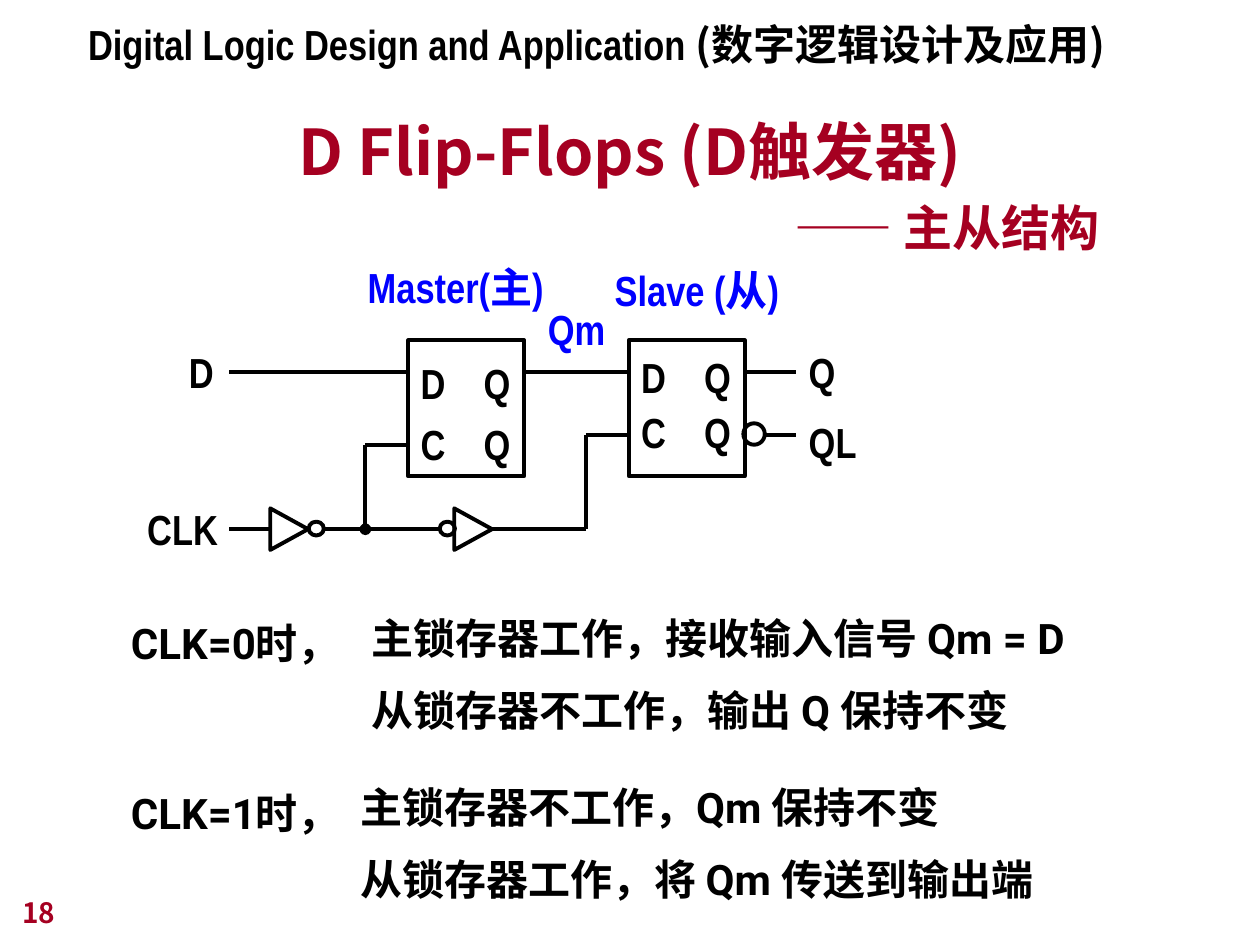
"""Build a slide on the master-slave D flip-flop with its logic diagram."""
import pptx
import pptx.util
import pptx.dml.color
import pptx.enum.shapes
import pptx.enum.text
from lxml import etree
from pptx.oxml.ns import qn

Inches = pptx.util.Inches
Pt = pptx.util.Pt
SHAPE = pptx.enum.shapes.MSO_SHAPE
ANCHOR = pptx.enum.text.MSO_ANCHOR
BLACK = pptx.dml.color.RGBColor(0, 0, 0)
RED = pptx.dml.color.RGBColor(0xA5, 0x00, 0x21)
BLUE = pptx.dml.color.RGBColor(0, 0, 0xFF)
NARROW, CJK, ROBOTO = "Arial Narrow", "Noto Sans CJK JP", "Roboto"


def style(p, font, size, color):
    p.font.name = font
    p.font.size = Pt(size)
    p.font.bold = True
    p.font.color.rgb = color


def add_text(box, lines, font=NARROW, size=24, color=BLACK, wrap=False):
    sp = s.shapes.add_textbox(*[Inches(v) for v in box])
    tf = sp.text_frame
    tf.word_wrap = wrap
    tf.text = "\n".join(lines)
    for p in tf.paragraphs:
        style(p, font, size, color)
    return tf


prs = pptx.Presentation()
prs.slide_width, prs.slide_height = Inches(10), Inches(7.5)
s = prs.slides.add_slide(prs.slide_layouts[5])

title = s.shapes.title
title.left, title.top = Inches(0.75), Inches(0.71)
title.width, title.height = Inches(8.5), Inches(0.83)
title.text_frame.text = "D Flip-Flops (D触发器)"
title.text_frame.vertical_anchor = ANCHOR.BOTTOM
p = title.text_frame.paragraphs[0]
p.alignment = pptx.enum.text.PP_ALIGN.CENTER
style(p, CJK, 36, RED)

tf = add_text((0.6, 0.1, 8.41, 0.5), [""], wrap=True)
for text, font in [("Digital Logic Design and Application ", NARROW),
                   ("(数字逻辑设计及应用)", CJK)]:
    r = tf.paragraphs[0].add_run()
    r.text = text
    r.font.name = font
add_text((6.21, 1.52, 2.62, 0.57), ["—— 主从结构"], size=28, color=RED)

latches = [(3.24, 1.2, 0.05), (4.99, 1.1, 0.15)]
for left, spacing, bottom in latches:
    sp = s.shapes.add_shape(SHAPE.RECTANGLE, Inches(left), Inches(2.7),
                            Inches(0.92), Inches(1.08))
    sp.shadow.inherit = False
    sp.fill.background()
    sp.line.color.rgb = BLACK
    sp.line.width = Pt(2.25)
    tf = sp.text_frame
    tf.margin_right = 0
    tf.margin_bottom = Inches(bottom)
    tf.vertical_anchor = ANCHOR.MIDDLE
    tf.text = "D\tQ\nC\tQ"
    for p in tf.paragraphs:
        p.alignment = pptx.enum.text.PP_ALIGN.LEFT
        p.line_spacing = spacing
        tabs = etree.SubElement(p._p.get_or_add_pPr(), qn("a:tabLst"))
        etree.SubElement(tabs, qn("a:tab"), pos=str(Inches(0.5)), algn="l")
        style(p, NARROW, 24, BLACK)

gates = [
    (SHAPE.ISOSCELES_TRIANGLE, 2.13, 4.05, 0.33, 0.3, 90),
    (SHAPE.ISOSCELES_TRIANGLE, 3.59, 4.05, 0.33, 0.3, 90),
    (SHAPE.OVAL, 2.45, 4.14, 0.12, 0.11, 0),
    (SHAPE.OVAL, 3.49, 4.14, 0.12, 0.11, 0),
    (SHAPE.OVAL, 5.9, 3.36, 0.17, 0.17, 0),
]
for kind, *box, rotation in gates:
    sp = s.shapes.add_shape(kind, *[Inches(v) for v in box])
    sp.rotation = rotation
    sp.shadow.inherit = False
    sp.fill.background()
    sp.line.color.rgb = BLACK
    sp.line.width = Pt(2.25)

wires = [
    (1.82, 2.95, 3.24, 2.95), (4.15, 2.95, 4.99, 2.95),
    (5.9, 2.95, 6.32, 2.95), (6.07, 3.45, 6.32, 3.45),
    (1.82, 4.2, 2.15, 4.2), (2.57, 4.2, 3.49, 4.2),
    (3.9, 4.2, 4.65, 4.2), (4.65, 3.45, 4.65, 4.2),
    (4.65, 3.45, 4.99, 3.45), (2.9, 3.53, 3.24, 3.53),
    (2.9, 3.53, 2.9, 4.2),
]
for ends in wires:
    wire = s.shapes.add_connector(pptx.enum.shapes.MSO_CONNECTOR.STRAIGHT,
                                  *[Inches(v) for v in ends])
    wire.line.color.rgb = BLACK
    wire.line.width = Pt(2.25)
    etree.SubElement(wire._element.spPr, qn("a:effectLst"))
etree.SubElement(wire.line._get_or_add_ln(), qn("a:tailEnd"), type="oval")

add_text((1.4, 2.7, 0.39, 0.5), ["D"])
add_text((1.07, 3.95, 0.76, 0.5), ["CLK"])
tf = add_text((6.32, 2.7, 0.58, 1.06), ["Q", "QL"])
tf.paragraphs[1].line_spacing = 1.4
add_text((2.82, 2.03, 1.9, 0.5), ["Master(主)"], color=BLUE, wrap=True)
add_text((4.78, 2.05, 1.8, 0.5), ["Slave (从)"], color=BLUE, wrap=True)
add_text((4.25, 2.36, 0.75, 0.5), ["Qm"], color=BLUE, wrap=True)

cases = [
    ("CLK=0时，", 4.85, (2.85, 4.86, 5.89, 1.03),
     ["主锁存器工作，接收输入信号 Qm = D", "从锁存器不工作，输出 Q 保持不变"]),
    ("CLK=1时，", 6.2, (2.76, 6.2, 5.78, 1.03),
     ["主锁存器不工作，Qm 保持不变", "从锁存器工作，将 Qm 传送到输出端"]),
]
for label, top, box, lines in cases:
    add_text((0.94, top, 1.95, 0.5), [label], ROBOTO)
    tf = add_text(box, lines, ROBOTO)
    for p in tf.paragraphs:
        p.line_spacing = 0.9
    tf.paragraphs[1].space_before = Pt(15)

tf = add_text((0.08, 6.92, 2.08, 0.5), ["18"], CJK, 16, RED, True)
tf.vertical_anchor = ANCHOR.BOTTOM

prs.save("out.pptx")
